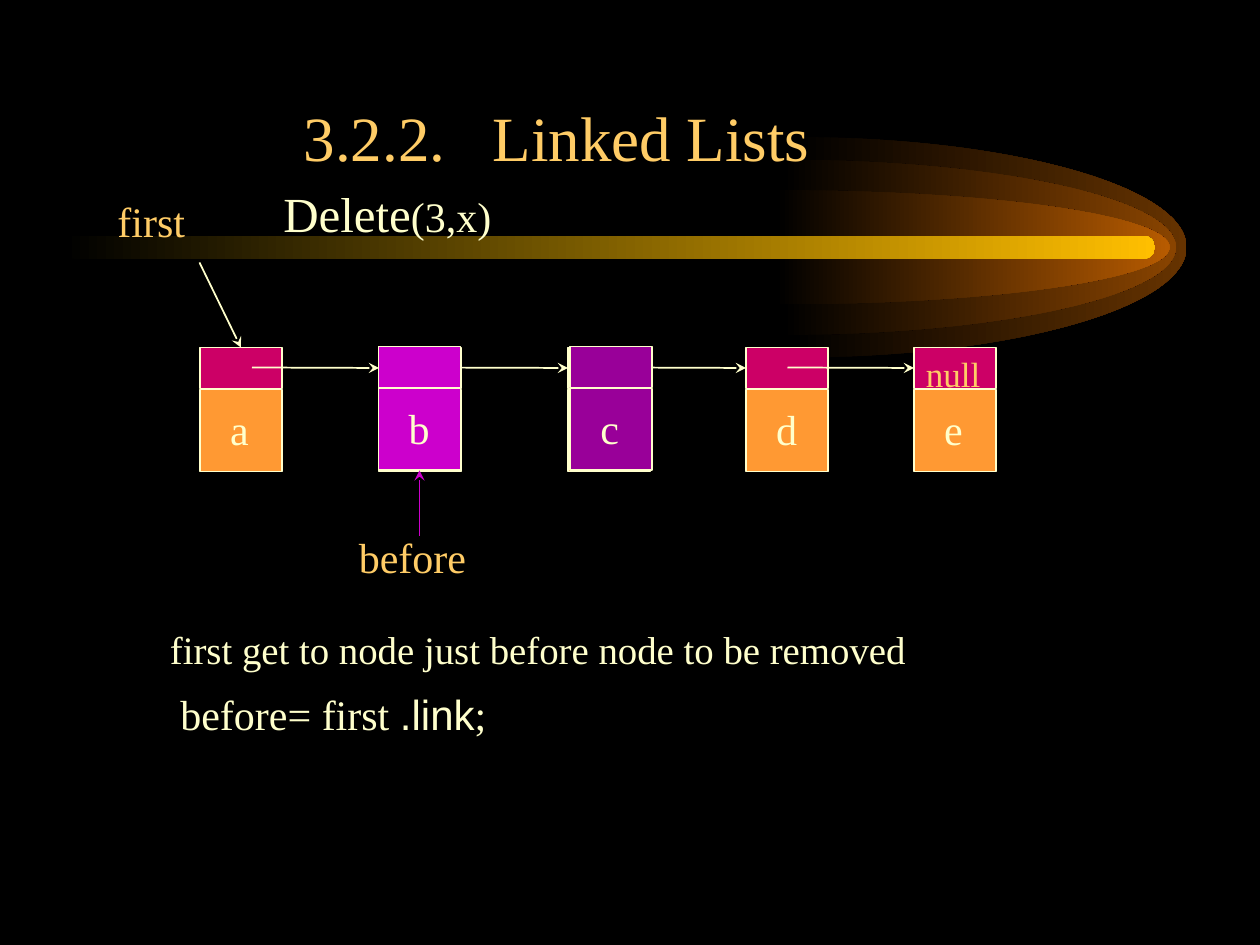
from dataclasses import dataclass

from lxml import etree
from pptx import Presentation
from pptx.dml.color import RGBColor
from pptx.enum.shapes import MSO_CONNECTOR, MSO_SHAPE
from pptx.enum.text import MSO_ANCHOR, MSO_AUTO_SIZE, PP_ALIGN
from pptx.oxml.ns import qn
from pptx.util import Emu, Inches, Pt

RECT, ROUNDED = MSO_SHAPE.RECTANGLE, MSO_SHAPE.ROUNDED_RECTANGLE
STRAIGHT = MSO_CONNECTOR.STRAIGHT
CENTER, MIDDLE = PP_ALIGN.CENTER, MSO_ANCHOR.MIDDLE
GROW, FIXED = MSO_AUTO_SIZE.SHAPE_TO_FIT_TEXT, MSO_AUTO_SIZE.NONE
TOP, LEFT, BOTTOM = 0, 1, 2

BLACK = RGBColor(0x00, 0x00, 0x00)
CREAM = RGBColor(0xFF, 0xFF, 0xCC)
GOLD = RGBColor(0xFF, 0xCC, 0x66)
ORANGE = RGBColor(0xFF, 0x99, 0x33)
CRIMSON = RGBColor(0xCC, 0x00, 0x66)
MAGENTA = RGBColor(0xCC, 0x00, 0xCC)
PURPLE = RGBColor(0x99, 0x00, 0x99)
AMBER = RGBColor(0xFF, 0xBF, 0x00)
BROWN = RGBColor(0x66, 0x33, 0x00)
RUST = RGBColor(0x89, 0x44, 0x00)
COPPER = RGBColor(0xB7, 0x5B, 0x00)

SERIF, SANS = "Times New Roman", "Arial"

# The slide is a grid of 120 columns by 90 rows, 12 to the inch.
COLS, ROWS = 120, 90
NODE_SIZE, LINK_HEIGHT = 7.8, 3.9
DATA_DROP = 4
LINK_ROW = 35
COMET_ROW, COMET_WIDTH = 23.55, 37.5
ARC = 0.55  # Bezier handle length of a quarter ellipse


@dataclass
class Node:
    col: float
    row: float
    link_color: RGBColor
    data_color: RGBColor
    label: str = ""


@dataclass
class Piece:
    text: str
    size: float = 24
    font: str = SERIF


@dataclass
class Label:
    col: float
    row: float
    width: float
    height: float
    pieces: list[Piece]
    color: RGBColor = CREAM
    wrap: bool = True
    grow: bool = True


@dataclass
class Tail:
    col: float
    height: float
    color: RGBColor


TAILS = [
    Tail(75.5, 21, BROWN),
    Tail(74.5, 16.7, RUST),
    Tail(73.9, 10.9, COPPER),
]
LIST_NODES = [
    Node(19.05, 33.1, CRIMSON, ORANGE, "a"),
    Node(36.1, 33.1, CRIMSON, ORANGE),
    Node(54.1, 33.1, CRIMSON, ORANGE),
    Node(71.05, 33.1, CRIMSON, ORANGE, "d"),
    Node(87.05, 33.1, CRIMSON, ORANGE, "e"),
]
NODE_C = Node(54.3, 33, PURPLE, PURPLE, "c")
NODE_B = Node(36.05, 33, MAGENTA, MAGENTA, "b")
LINK_START_COLS = [24, 40, 59, 75]
LABELS = [
    Label(15, 59, 100, 6,
          [Piece("first get to node just before node to be removed", 22.2)],
          grow=False),
    Label(16, 65, 84, 10,
          [Piece("before= first "), Piece(".link", font=SANS), Piece(";")],
          grow=False),
    Label(87, 33, 8, 5.2, [Piece("null", 20)], GOLD),
    Label(10, 18, 22, 6, [Piece("first")], GOLD),
    Label(33, 50, 24, 6, [Piece("before")], GOLD),
    Label(25.8, 16.9, 22.2, 6.8, [Piece("Delete", 28), Piece("(3,x)")],
          wrap=False),
]


def grid(*cells: float) -> list[Emu]:
    return [Emu(round(Inches(cell) / 12)) for cell in cells]


def style_font(font, size: float, color: RGBColor, name: str = SERIF) -> None:
    font.size, font.name = Pt(size), name
    font.color.rgb = color


def fade_from_black(sp, color: RGBColor) -> None:
    sp.shadow.inherit = False
    sp.line.fill.background()
    sp.fill.gradient()
    sp.fill.gradient_angle = 0
    for stop, stop_color, position in zip(
            sp.fill.gradient_stops, (BLACK, color), (0, 1)):
        stop.color.rgb = stop_color
        stop.position = position


def add_half_ellipse(s, tail: Tail):
    """Build a triangle, then bend its two outer sides into quarter ellipses."""
    top, bottom = COMET_ROW - tail.height / 2, COMET_ROW + tail.height / 2
    builder = s.shapes.build_freeform(*grid(tail.col, top))
    builder.add_line_segments(
        [grid(tail.col + COMET_WIDTH, COMET_ROW), grid(tail.col, bottom)])
    sp = builder.convert_to_shape()
    w, h = sp.width, sp.height
    handles = [
        [(ARC * w, 0), (w, (1 - ARC) * h / 2)],
        [(w, (1 + ARC) * h / 2), (ARC * w, h)],
    ]
    for side, points in zip(list(sp.element.iter(qn("a:lnTo"))), handles):
        curve = etree.Element(qn("a:cubicBezTo"))
        for x, y in points:
            etree.SubElement(curve, qn("a:pt"), x=str(round(x)), y=str(round(y)))
        curve.append(side[0])
        side.getparent().replace(side, curve)
    return sp


def add_comet(s) -> None:
    for tail in TAILS:
        fade_from_black(add_half_ellipse(s, tail), tail.color)
    bar = s.shapes.add_shape(ROUNDED, *grid(6, COMET_ROW - 1.1, 104, 2.2))
    bar.adjustments[0] = 0.5
    fade_from_black(bar, AMBER)


def add_title(s, text: str) -> None:
    title = s.shapes.title
    title.element.getparent().append(title.element)  # in front of the comet
    title.left, title.top, title.width, title.height = grid(4, 8, 98, 10)
    tf = title.text_frame
    tf.text = text
    tf.vertical_anchor, tf.auto_size = MIDDLE, FIXED
    p = tf.paragraphs[0]
    p.alignment = CENTER
    style_font(p.runs[0].font, 36, GOLD)


def add_label(s, label: Label) -> None:
    box = s.shapes.add_textbox(
        *grid(label.col, label.row, label.width, label.height))
    tf = box.text_frame
    tf.word_wrap = label.wrap
    tf.auto_size = GROW if label.grow else FIXED
    for piece in label.pieces:
        r = tf.paragraphs[0].add_run()
        r.text = piece.text
        style_font(r.font, piece.size, label.color, piece.font)


def add_cell(s, col: float, row: float, height: float, color: RGBColor):
    sp = s.shapes.add_shape(RECT, *grid(col, row, NODE_SIZE, height))
    sp.shadow.inherit = False
    sp.fill.solid()
    sp.fill.fore_color.rgb = color
    sp.line.color.rgb = CREAM
    sp.line.width = Pt(1)
    return sp


def add_node(s, node: Node):
    """Draw a node and return its data cell and its link cell."""
    data_row = node.row + DATA_DROP
    data = add_cell(s, node.col, data_row, NODE_SIZE, node.data_color)
    link = add_cell(s, node.col, node.row, LINK_HEIGHT, node.link_color)
    if node.label:
        add_label(s, Label(node.col + 1.7, data_row + 0.7, 4.3, 6,
                           [Piece(node.label)], wrap=False))
    return data, link


def add_arrow(s, col: float, row: float, target, side: int,
              color: RGBColor = CREAM) -> None:
    start = grid(col, row)
    line = s.shapes.add_connector(STRAIGHT, *start, *start)
    line.end_connect(target, side)
    line.line.color.rgb = color
    line.line.width = Pt(1)
    etree.SubElement(line.line._get_or_add_ln(), qn("a:tailEnd"), type="stealth")
    etree.SubElement(line.element.spPr, qn("a:effectLst"))


def main() -> None:
    prs = Presentation()
    prs.slide_width, prs.slide_height = grid(COLS, ROWS)
    s = prs.slides.add_slide(prs.slide_layouts[5])
    s.background.fill.solid()
    s.background.fill.fore_color.rgb = BLACK

    add_comet(s)
    add_title(s, "3.2.2.   Linked Lists")

    links = [add_node(s, node)[1] for node in LIST_NODES]
    for col, link in zip(LINK_START_COLS, links[1:]):
        add_arrow(s, col, LINK_ROW, link, LEFT)
    add_arrow(s, 19, 25, links[0], TOP)

    add_node(s, NODE_C)
    before_data, _ = add_node(s, NODE_B)
    add_arrow(s, NODE_B.col + NODE_SIZE / 2, 51, before_data, BOTTOM, MAGENTA)

    for label in LABELS:
        add_label(s, label)
    prs.save("out.pptx")


if __name__ == "__main__":
    main()
